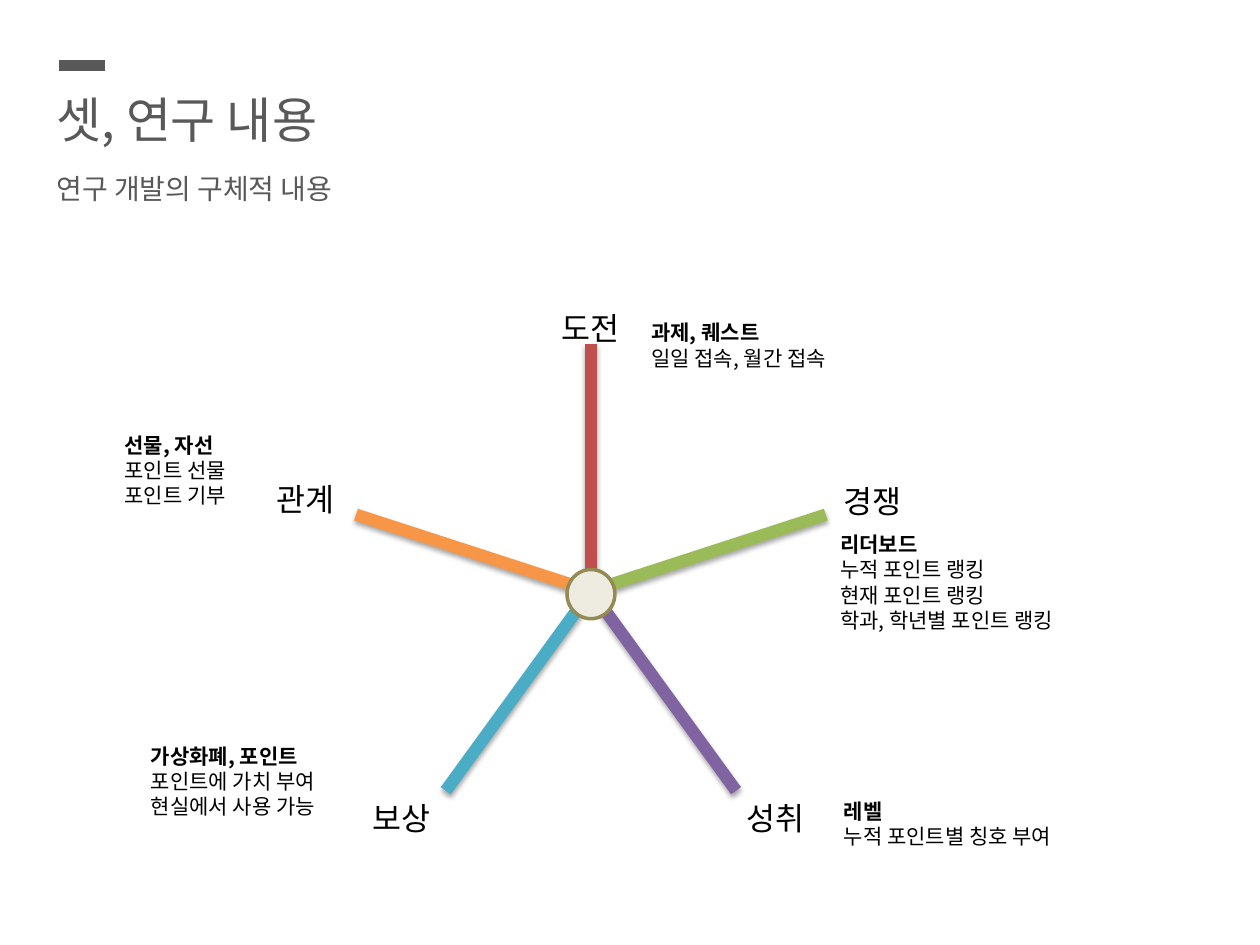
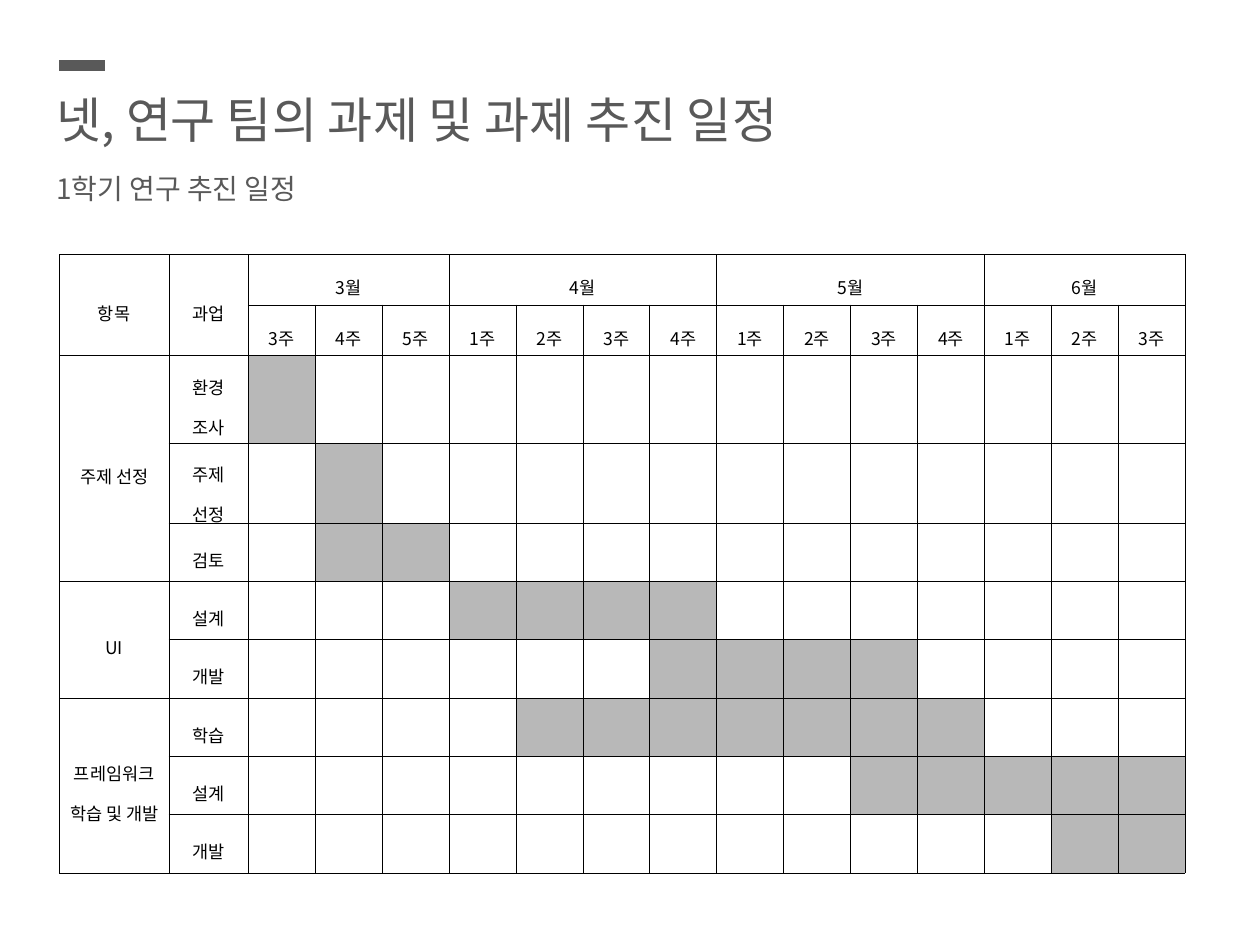
from math import cos, radians, sin

from lxml.etree import SubElement
from pptx import Presentation
from pptx.dml.color import RGBColor
from pptx.enum.shapes import MSO_CONNECTOR, MSO_SHAPE
from pptx.enum.text import MSO_ANCHOR, MSO_AUTO_SIZE, PP_ALIGN
from pptx.oxml.ns import qn
from pptx.util import Inches, Pt

FONT = "Noto Sans CJK KR"
BLACK = RGBColor(0x00, 0x00, 0x00)
GREY = RGBColor(0x59, 0x59, 0x59)
BUSY = RGBColor(0xB8, 0xB8, 0xB8)
CREAM = RGBColor(0xEE, 0xEC, 0xE1)
OLIVE = RGBColor(0x94, 0x8A, 0x54)
RED = RGBColor(0xC0, 0x50, 0x4D)
GREEN = RGBColor(0x9B, 0xBB, 0x59)
PURPLE = RGBColor(0x80, 0x64, 0xA2)
TEAL = RGBColor(0x4B, 0xAC, 0xC6)
ORANGE = RGBColor(0xF7, 0x96, 0x46)

REACH = 1.96
SPOKES = [
    (RED, "도전", (-0.33, -2.29), (0.38, -2.2, 1.66, 1.11),
     ["과제, 퀘스트", "일일 접속, 월간 접속"]),
    (GREEN, "경쟁", (1.91, -0.91), (1.88, -0.52, 2.13, 1.31),
     ["리더보드", "누적 포인트 랭킹", "현재 포인트 랭킹", "학과, 학년별 포인트 랭킹"]),
    (PURPLE, "성취", (1.14, 1.6), (1.91, 1.6, 2.33, 0.71),
     ["레벨", "누적 포인트별 칭호 부여"]),
    (TEAL, "보상", (-1.83, 1.6), (-3.59, 1.16, 1.66, 1.11),
     ["가상화폐, 포인트", "포인트에 가치 부여", "현실에서 사용 가능"]),
    (ORANGE, "관계", (-2.59, -0.93), (-3.8, -1.31, 1.66, 0.71),
     ["선물, 자선", "포인트 선물", "포인트 기부"]),
]

MONTHS = [("3월", 3, 3), ("4월", 1, 4), ("5월", 1, 4), ("6월", 1, 3)]
WEEKS = sum(count for _, _, count in MONTHS)
GROUPS = [
    ("주제 선정", [("환경 조사", 0, 0), ("주제 선정", 1, 1), ("검토", 1, 2)]),
    ("UI", [("설계", 3, 6), ("개발", 6, 9)]),
    ("프레임워크 학습 및 개발", [("학습", 4, 10), ("설계", 9, 13), ("개발", 12, 13)]),
]
SIDES = [0.87, 0.63]
TALL = [0.4, 0.4, 0.7, 0.63]


def add_run(para, text, size, color=BLACK, bold=False):
    """Add one styled run, with the font set for Korean too."""
    run = para.add_run()
    run.text = text
    font = run.font
    font.name, font.size, font.bold = FONT, Pt(size), bold
    font.color.rgb = color
    SubElement(font._element, qn("a:ea"), typeface=FONT)


def add_text(slide, box, lines, size, color=BLACK, lead=False):
    """Add a text box, one paragraph a line, the first bold if lead."""
    frame = slide.shapes.add_textbox(*map(Inches, box)).text_frame
    frame.word_wrap = True
    frame.auto_size = MSO_AUTO_SIZE.SHAPE_TO_FIT_TEXT
    for i, line in enumerate(lines):
        para = frame.add_paragraph() if i else frame.paragraphs[0]
        add_run(para, line, size, color, lead and i == 0)


def add_line(slide, start, end, color, width, shadow=False):
    """Draw a straight line, with a soft shadow below if asked."""
    line = slide.shapes.add_connector(
        MSO_CONNECTOR.STRAIGHT, *map(Inches, (*start, *end)))
    line.line.color.rgb = color
    line.line.width = Pt(width)
    effects = SubElement(line._element.spPr, qn("a:effectLst"))
    if shadow:
        outer = SubElement(effects, qn("a:outerShdw"), blurRad=str(Pt(3.1)),
                           dist=str(Pt(1.8)), dir="5400000", rotWithShape="0")
        tint = SubElement(outer, qn("a:srgbClr"), val=str(BLACK))
        SubElement(tint, qn("a:alpha"), val="35000")


def add_head(slide, left, top, title, subtitle, width=5.67):
    """Place the bar, title and subtitle from the top left corner."""
    add_text(slide, (left, top + 0.14, width, 0.57), [title], 28, GREY)
    add_text(slide, (left, top + 0.79, 5.67, 0.37), [subtitle], 16, GREY)
    add_line(slide, (left + 0.12, top), (left + 0.48, top), GREY, 6)


def add_star(slide, x, y):
    """Draw five spokes around a hub centred at x, y with their texts."""
    for i, (color, *_) in enumerate(SPOKES):
        turn = radians(360 / len(SPOKES) * i)
        tip = x + REACH * sin(turn), y - REACH * cos(turn)
        add_line(slide, tip, (x, y), color, 7, shadow=True)
    hub = slide.shapes.add_shape(
        MSO_SHAPE.OVAL, *map(Inches, (x - 0.19, y - 0.17, 0.38, 0.39)))
    hub.shadow.inherit = False
    hub.fill.solid()
    hub.fill.fore_color.rgb = CREAM
    hub.line.color.rgb = OLIVE
    hub.line.width = Pt(2)
    for _, label, (dx, dy), (nx, ny, *size), notes in SPOKES:
        add_text(slide, (x + dx, y + dy, 0.67, 0.4), [label], 18)
        add_text(slide, (x + nx, y + ny, *size), notes, 12, lead=True)


def style_cell(cell):
    """Give a cell thin black borders, small margins and no fill."""
    cell.margin_left = cell.margin_right = Inches(0.06)
    cell.margin_top = cell.margin_bottom = Inches(0.02)
    cell.vertical_anchor = MSO_ANCHOR.MIDDLE
    props = cell._tc.get_or_add_tcPr()
    for side in ("lnL", "lnR", "lnT", "lnB"):
        edge = SubElement(props, qn(f"a:{side}"), w=str(Pt(0.28)))
        paint = SubElement(edge, qn("a:solidFill"))
        SubElement(paint, qn("a:srgbClr"), val=str(BLACK))
    cell.fill.background()


def write_cell(table, row, col, text, last_row=None, last_col=None):
    """Write centred text in a cell, merged up to the last row or column."""
    cell = table.cell(row, col)
    if last_row or last_col:
        cell.merge(table.cell(last_row or row, last_col or col))
    para = cell.text_frame.paragraphs[0]
    para.alignment = PP_ALIGN.CENTER
    para.line_spacing = 1.6
    add_run(para, text, 10)


def add_plan(slide, left, top, width, height):
    """Build the weekly schedule table inside the box."""
    tasks = sum(len(group) for _, group in GROUPS)
    rows, cols = 2 + tasks, 2 + WEEKS
    table = slide.shapes.add_table(
        rows, cols, *map(Inches, (left, top, width, height))).table
    table.first_row = table.horz_banding = False
    week = (width - sum(SIDES)) / WEEKS
    rest = rows - len(TALL)
    for column, size in zip(table.columns, SIDES + [week] * WEEKS):
        column.width = Inches(size)
    for line, size in zip(table.rows, TALL + [(height - sum(TALL)) / rest] * rest):
        line.height = Inches(size)
    for cell in table.iter_cells():
        style_cell(cell)

    for col, text in enumerate(("항목", "과업")):
        write_cell(table, 0, col, text, last_row=1)
    col = 2
    for month, first, count in MONTHS:
        write_cell(table, 0, col, month, last_col=col + count - 1)
        for i in range(count):
            write_cell(table, 1, col + i, f"{first + i}주")
        col += count

    row = 2
    for name, group in GROUPS:
        write_cell(table, row, 0, name, last_row=row + len(group) - 1)
        for task, start, end in group:
            write_cell(table, row, 1, task)
            for i in range(start, end + 1):
                fill = table.cell(row, 2 + i).fill
                fill.solid()
                fill.fore_color.rgb = BUSY
            row += 1


def main():
    """Build both slides and save them."""
    deck = Presentation()
    deck.slide_width, deck.slide_height = Inches(10), Inches(7.5)
    blank = deck.slide_layouts[6]

    slide = deck.slides.add_slide(blank)
    add_head(slide, 0.35, 0.52, "셋, 연구 내용", "연구 개발의 구체적 내용")
    add_star(slide, 4.69, 4.69)

    slide = deck.slides.add_slide(blank)
    add_head(slide, 0.35, 0.52, "넷, 연구 팀의 과제 및 과제 추진 일정",
             "1학기 연구 추진 일정", 6.77)
    add_plan(slide, 0.47, 2.02, 8.94, 4.91)
    deck.save("out.pptx")


if __name__ == "__main__":
    main()
